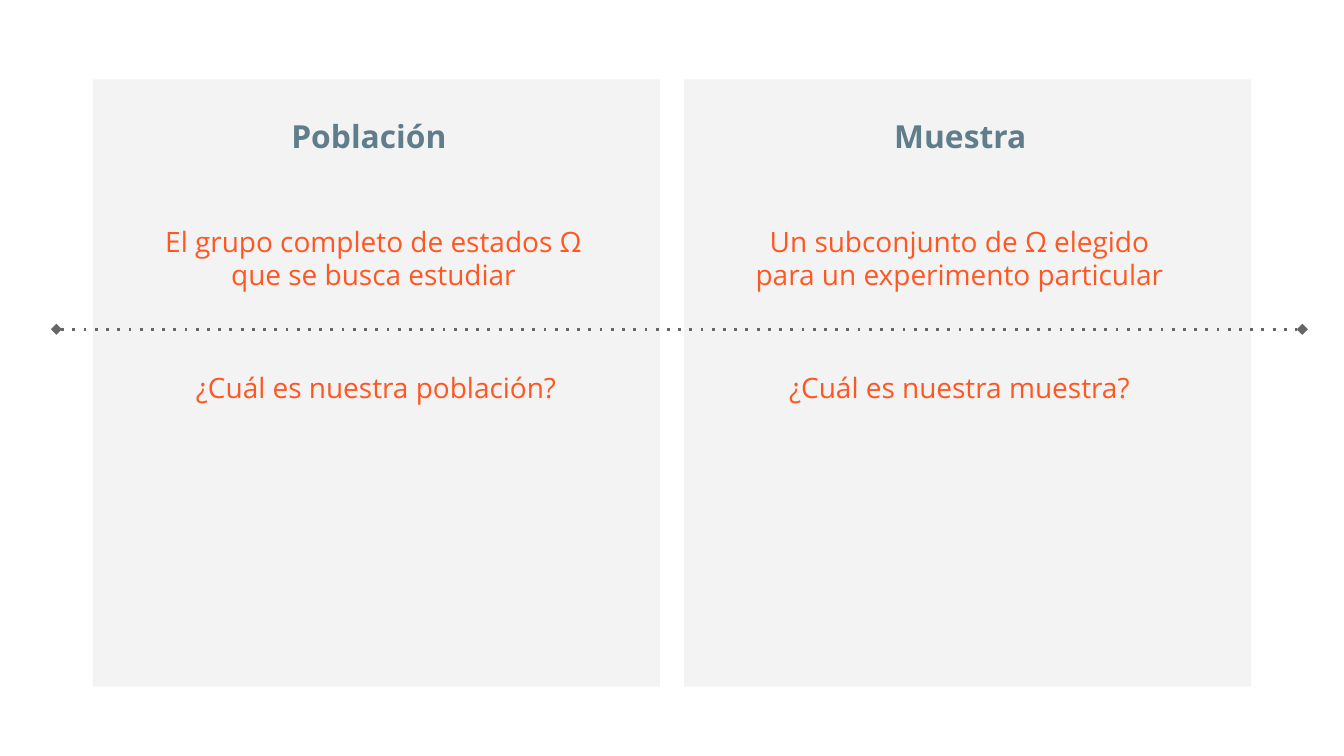
from lxml.etree import SubElement
from pptx import Presentation
from pptx.dml.color import RGBColor
from pptx.enum.shapes import MSO_CONNECTOR, MSO_SHAPE
from pptx.enum.text import MSO_ANCHOR, PP_ALIGN
from pptx.oxml.ns import qn
from pptx.util import Inches, Pt

PANEL_GRAY = RGBColor(0xF3, 0xF3, 0xF3)
LINE_GRAY = RGBColor(0x66, 0x66, 0x66)
SLATE = RGBColor(0x60, 0x7D, 0x8B)
ORANGE = RGBColor(0xFF, 0x57, 0x22)
FONT = "Open Sans"

# Each text is paired with the left edge of its box
COLUMNS = [
    {"title": ("Población", 0.92),
     "definition": ("El grupo completo de estados Ω que se busca estudiar", 1.03),
     "question": ("¿Cuál es nuestra población?", 1.05)},
    {"title": ("Muestra", 5.32),
     "definition": ("Un subconjunto de Ω elegido para un experimento particular", 5.39),
     "question": ("¿Cuál es nuestra muestra?", 5.39)},
]
# top, width, height, size, colour, bold
ROWS = {
    "title": (0.77, 3.65, 0.57, 17, SLATE, True),
    "definition": (1.57, 3.5, 0.67, 15, ORANGE, False),
    "question": (2.66, 3.5, 2.22, 15, ORANGE, False),
}
PANEL_LEFT, PANEL_TOP, PANEL_WIDTH, PANEL_HEIGHT = 0.69, 0.59, 4.22, 4.52
PANEL_GAP = 0.18
DIVIDER_LEFT, DIVIDER_RIGHT, DIVIDER_Y = 0.42, 9.69, 2.45


def add_panel(slide, left):
    panel = slide.shapes.add_shape(
        MSO_SHAPE.RECTANGLE, Inches(left), Inches(PANEL_TOP),
        Inches(PANEL_WIDTH), Inches(PANEL_HEIGHT))
    panel.shadow.inherit = False
    panel.fill.solid()
    panel.fill.fore_color.rgb = PANEL_GRAY
    panel.line.fill.background()


def add_text(slide, text, left, top, width, height, size, color, bold):
    frame = slide.shapes.add_textbox(
        Inches(left), Inches(top), Inches(width), Inches(height)).text_frame
    frame.word_wrap = True
    frame.vertical_anchor = MSO_ANCHOR.TOP
    frame.margin_left = frame.margin_right = Inches(0.1)
    frame.margin_top = frame.margin_bottom = Inches(0.1)
    paragraph = frame.paragraphs[0]
    paragraph.text = text
    paragraph.alignment = PP_ALIGN.CENTER
    font = paragraph.font
    font.name, font.size, font.bold = FONT, Pt(size), bold
    font.color.rgb = color


def add_divider(slide):
    """Dotted line with a diamond at each end."""
    divider = slide.shapes.add_connector(
        MSO_CONNECTOR.STRAIGHT, Inches(DIVIDER_LEFT), Inches(DIVIDER_Y),
        Inches(DIVIDER_RIGHT), Inches(DIVIDER_Y))
    divider.line.color.rgb = LINE_GRAY
    divider.line.width = Pt(1.5)
    properties = divider.element.spPr
    outline = properties.find(qn("a:ln"))
    SubElement(outline, qn("a:prstDash"), val="dot")
    for end in ("a:headEnd", "a:tailEnd"):
        SubElement(outline, qn(end), type="diamond", w="med", len="med")
    SubElement(properties, qn("a:effectLst"))


def main():
    deck = Presentation()
    deck.slide_width = Inches(10)
    deck.slide_height = deck.slide_width * 9 // 16
    slide = deck.slides.add_slide(deck.slide_layouts[6])
    for index in range(len(COLUMNS)):
        add_panel(slide, PANEL_LEFT + index * (PANEL_WIDTH + PANEL_GAP))
    add_divider(slide)
    for column in COLUMNS:
        for row, (text, left) in column.items():
            add_text(slide, text, left, *ROWS[row])
    deck.save("out.pptx")


if __name__ == "__main__":
    main()
